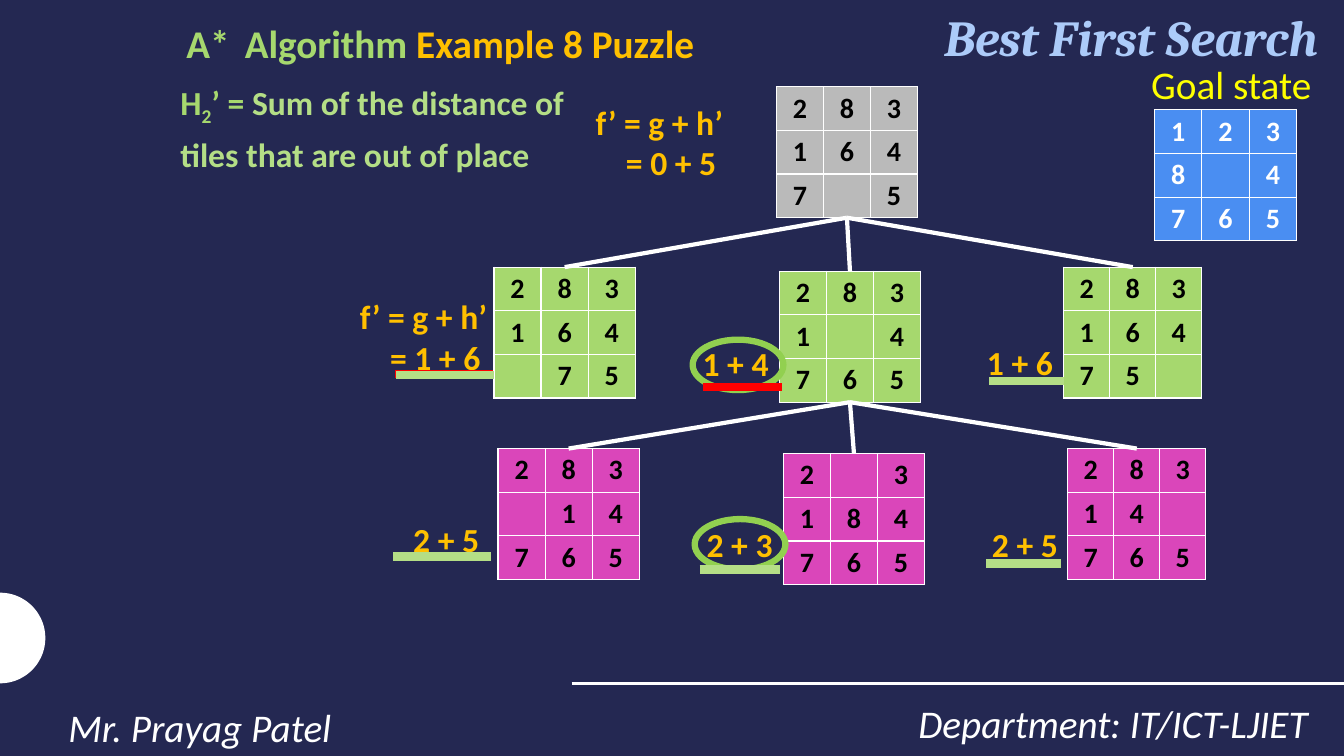
from math import cos, pi, sin

from lxml.etree import SubElement
from pptx import Presentation
from pptx.dml.color import RGBColor as RGB
from pptx.enum.shapes import MSO_CONNECTOR as CONN, MSO_SHAPE as SHAPE
from pptx.enum.text import MSO_ANCHOR as ANCHOR, MSO_AUTO_SIZE as AUTO, PP_ALIGN as ALIGN
from pptx.oxml.ns import qn
from pptx.util import Inches, Pt

C = {"navy": "242852", "white": "FFFFFF", "black": "000000", "sky": "ACCBF9",
     "lime": "A6D86E", "pale": "B4DE86", "gold": "FFC000", "yellow": "FFFF00",
     "grey": "BABABA", "blue": "4A8EF2", "pink": "DA46BA", "red": "FF0000",
     "ring": "92D050"}

prs = Presentation()
prs.slide_width, prs.slide_height = Inches(13.33), Inches(7.5)
s = prs.slides.add_slide(prs.slide_layouts[5])
s.background.fill.solid()
s.background.fill.fore_color.rgb = RGB.from_string(C["navy"])


def write(sp, box, paragraphs, size, align=ALIGN.LEFT, spacing=None, **fmt):
    """Fill a text shape; each paragraph is a list of (text, colour) runs."""
    sp.left, sp.top, sp.width, sp.height = [Inches(v) for v in box]
    tf = sp.text_frame
    for key, value in {"word_wrap": True, "auto_size": AUTO.NONE,
                       "vertical_anchor": ANCHOR.TOP}.items():
        setattr(tf, key, value)
    for i, runs in enumerate(paragraphs):
        p = tf.add_paragraph() if i else tf.paragraphs[0]
        p.alignment, p.line_spacing = align, spacing
        if i:  # continuation lines of a formula are indented
            p._p.get_or_add_pPr().set("marL", str(Inches(0.3)))
        for text, color in runs:
            r = p.add_run()
            r.text = text
            r.font.color.rgb = RGB.from_string(C[color])
            for key, value in {"name": "Calibri", "size": Pt(size), **fmt}.items():
                setattr(r.font, key, value)
    return tf


def line(x1, y1, x2, y2, color, width):
    ln = s.shapes.add_connector(CONN.STRAIGHT, *[Inches(v) for v in (x1, y1, x2, y2)])
    ln.line.color.rgb = RGB.from_string(C[color])
    ln.line.width = Pt(width)
    SubElement(ln._element.spPr, qn("a:effectLst"))
    return ln


# Half disc on the left edge and footer rule
radius, steps = 0.45, 36
arc = [(Inches(radius * sin(pi * i / steps)), Inches(6.33 - radius * cos(pi * i / steps)))
       for i in range(steps + 1)]
fb = s.shapes.build_freeform(*arc[0])
fb.add_line_segments(arc[1:], close=True)
disc = fb.convert_to_shape()
disc.shadow.inherit = False
disc.fill.solid()
disc.fill.fore_color.rgb = RGB.from_string(C["white"])
disc.line.fill.background()
line(5.67, 6.78, 13.33, 6.78, "white", 2)

# Title
write(s.shapes.title, (2.22, 0.01, 11.06, 0.56), [[("Best First Search ", "sky")]], 36,
      ALIGN.RIGHT, name="Cambria", bold=True, italic=True)

# Puzzle boards: left, top, width, fill, text colour, rows
boards = {
    "start": (7.7, 0.86, 1.4, "grey", "black", ("283", "164", "7 5")),
    "goal": (11.45, 1.09, 1.41, "blue", "white", ("123", "8 4", "765")),
    "left 1": (4.9, 2.65, 1.4, "lime", "black", ("283", "164", " 75")),
    "middle 1": (7.73, 2.69, 1.4, "lime", "black", ("283", "1 4", "765")),
    "right 1": (10.55, 2.65, 1.37, "lime", "black", ("283", "164", "75 ")),
    "left 2": (4.94, 4.45, 1.4, "pink", "black", ("283", " 14", "765")),
    "middle 2": (7.77, 4.5, 1.4, "pink", "black", ("2 3", "184", "765")),
    "right 2": (10.59, 4.45, 1.37, "pink", "black", ("283", "14 ", "765")),
}
frames = {}
for name, (x, y, w, fill, color, rows) in boards.items():
    gf = s.shapes.add_table(3, 3, Inches(x), Inches(y), Inches(w), Inches(1.3))
    frames[name] = gf
    for i, row in enumerate(rows):
        for j, tile in enumerate(row):
            cell = gf.table.cell(i, j)
            for key, value in {"margin_top": Inches(0.03), "margin_bottom": Inches(0.03),
                               "vertical_anchor": ANCHOR.MIDDLE}.items():
                setattr(cell, key, value)
            for side in ("lnL", "lnR", "lnT", "lnB"):
                ln = SubElement(cell._tc.get_or_add_tcPr(), qn(f"a:{side}"), w=str(Pt(1)))
                SubElement(SubElement(ln, qn("a:solidFill")), qn("a:srgbClr"), val=C["white"])
            cell.fill.solid()
            cell.fill.fore_color.rgb = RGB.from_string(C[fill])
            p = cell.text_frame.paragraphs[0]
            p.alignment = ALIGN.CENTER
            if tile != " ":
                r = p.add_run()
                r.text = tile
                r.font.color.rgb = RGB.from_string(C[color])
                for key, value in {"name": "Calibri", "size": Pt(20), "bold": True}.items():
                    setattr(r.font, key, value)

# Tree branches
for parent, level in (("start", 1), ("middle 1", 2)):
    for side in ("left", "middle", "right"):
        branch = line(0, 0, 1, 1, "white", 3)
        branch.begin_connect(frames[parent], 2)
        branch.end_connect(frames[f"{side} {level}"], 0)

# Headings and footer
tf = write(s.shapes.add_textbox(0, 0, 0, 0), (1.75, 0.14, 5.41, 0.57),
           [[("A*\tAlgorithm ", "lime"), ("Example 8 Puzzle", "gold")]], 28, bold=True)
pPr = tf.paragraphs[0]._p.get_or_add_pPr()
pPr.set("marL", str(Inches(0.58)))
pPr.set("indent", str(Inches(-0.58)))
tf = write(s.shapes.add_textbox(0, 0, 0, 0), (1.69, 0.7, 4.12, 0.91),
           [[("H", "lime"), ("2", "lime"), ("’ = ", "lime"),
             ("Sum of the distance of tiles that are out of place", "pale")]],
           24, spacing=1.14, bold=True)
tf.paragraphs[0].runs[1]._r.get_or_add_rPr().set("baseline", "-25000")
write(s.shapes.add_textbox(0, 0, 0, 0), (11.32, 0.55, 2, 0.57),
      [[("Goal state", "yellow")]], 28)
write(s.shapes.add_textbox(0, 0, 0, 0), (8.08, 6.82, 4.99, 0.63),
      [[("Department: IT/ICT-LJIET", "white")]], 28, ALIGN.RIGHT, 1.14, italic=True)
write(s.shapes.add_textbox(0, 0, 0, 0), (0.58, 6.86, 8.52, 0.63),
      [[("Mr. Prayag Patel", "white")]], 28, spacing=1.14, italic=True)

# Cost of each state
costs = [
    (5.81, 0.96, 1.62, ("f’ = g + h’", "= 0 + 5")),
    (3.47, 2.89, 1.48, ("f’ = g + h’", "= 1 + 6")),
    (6.87, 3.35, 0.86, ("1 + 4",)),
    (9.69, 3.34, 0.86, ("1 + 6",)),
    (4, 5.1, 1, ("2 + 5",)),
    (6.91, 5.15, 0.86, ("2 + 3",)),
    (9.74, 5.15, 0.86, ("2 + 5",)),
]
for x, y, w, rows in costs:
    write(s.shapes.add_textbox(0, 0, 0, 0), (x, y, w, 0.1 + 0.4 * len(rows)),
          [[(row, "gold")] for row in rows], 24, bold=True)

# Rings around the chosen states
for x, y in ((6.87, 3.37), (6.89, 5.15)):
    ring = s.shapes.add_shape(SHAPE.OVAL, Inches(x), Inches(y), Inches(0.9), Inches(0.5))
    ring.shadow.inherit = False
    ring.fill.background()
    ring.line.color.rgb = RGB.from_string(C["ring"])
    ring.line.width = Pt(4.5)

# Underlines
for x1, x2, y, color in ((3.92, 4.89, 3.71, "red"), (3.93, 4.9, 3.72, "pale"),
                         (6.97, 7.76, 3.84, "red"), (9.81, 10.55, 3.78, "pale"),
                         (3.9, 4.87, 5.52, "pale"), (6.94, 7.74, 5.65, "pale"),
                         (9.78, 10.52, 5.59, "pale")):
    line(x1, y, x2, y, color, 6)

prs.save("out.pptx")
